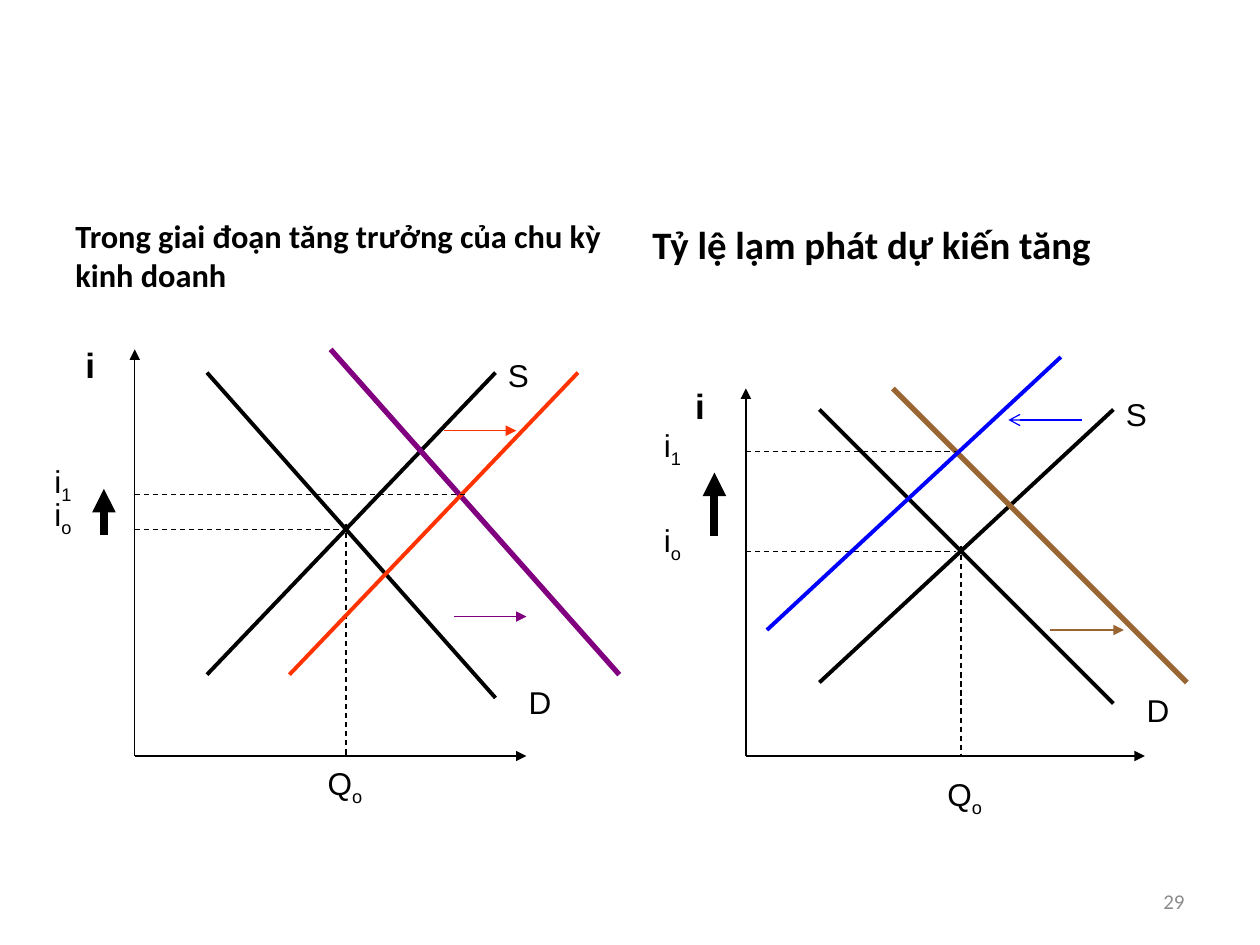
from dataclasses import dataclass
from typing import NamedTuple

from lxml.etree import SubElement
from pptx import Presentation
from pptx.dml.color import RGBColor as RGB
from pptx.enum.dml import MSO_LINE_DASH_STYLE as Dash
from pptx.enum.shapes import MSO_CONNECTOR as Connector
from pptx.enum.text import MSO_ANCHOR as Anchor, PP_ALIGN as Align
from pptx.oxml.ns import qn
from pptx.util import Inches, Pt


@dataclass(frozen=True)
class Theme:
    heading_font: str = "Calibri"
    label_font: str = "Arial"
    black: str = "000000"
    grey: str = "8C8C8C"
    purple: str = "800080"
    orange: str = "FF3300"
    brown: str = "996633"
    blue: str = "0000FF"
    label_size: float = 18
    axis_size: float = 20
    number_size: float = 12
    thin: float = 0.75
    curve: float = 2.25
    heavy: float = 3
    rise: float = 4.5


T = Theme()


class Point(NamedTuple):
    """Columns right of and rows above a diagram's origin."""
    col: float
    row: float


class Segment(NamedTuple):
    start: Point
    end: Point
    color: str = T.black
    width: float = T.thin
    arrow: str = ""
    dashed: bool = False


class Label(NamedTuple):
    at: Point
    text: str
    sub: str = ""
    cols: float = 6
    size: float = T.label_size
    bold: bool = False
    inset: float = 0.1


class Caption(NamedTuple):
    left: float
    top: float
    text: str
    size: float


@dataclass(frozen=True)
class Diagram:
    left: float
    cell_w: float
    cell_h: float
    rate_row: float          # level of the new rate i1
    rate_end: float          # where its guide stops
    rate_label_row: float
    quantity: Point          # corner of the Q label
    rise: tuple[float, float]
    shifts: tuple[Segment, ...]
    base: float = 6

    def x(self, col: float) -> int:
        return Inches(self.left + col * self.cell_w)

    def y(self, row: float) -> int:
        return Inches(self.base - row * self.cell_h)


CAPTIONS = (
    Caption(0.5, 1.68, "Trong giai đoạn tăng trưởng của chu kỳ kinh doanh", 18.5),
    Caption(5.08, 1.47, "Tỷ lệ lạm phát dự kiến tăng", 22.2),
)

DIAGRAMS = (
    Diagram(1.07, 0.0818, 0.0922, 22.5, 32, 25.8, Point(17.5, -0.2), (19, 23), (
        Segment(Point(31, 12), Point(38, 12), T.purple, arrow="triangle"),
        Segment(Point(19, 35), Point(47, 7), T.purple, T.heavy),
        Segment(Point(15, 7), Point(43, 33), T.orange, T.curve),
        Segment(Point(30, 28), Point(37, 28), T.orange, arrow="triangle"),
    )),
    Diagram(5.92, 1 / 12, 1 / 12, 29, 20, 32, Point(18, -1.2), (21, 27), (
        Segment(Point(29, 12), Point(36, 12), T.brown, arrow="triangle"),
        Segment(Point(14, 35), Point(42, 7), T.brown, T.heavy),
        Segment(Point(2, 12), Point(30, 38), T.blue, T.curve),
        Segment(Point(32, 32), Point(25, 32), T.blue, arrow="arrow"),
    )),
)


def add_text(s, box: tuple, text: str, font: str, size: float, color: str = T.black,
             bold: bool = False, anchor=Anchor.TOP, align=Align.LEFT):
    """Add a one-paragraph text box and return its text frame."""
    tf = s.shapes.add_textbox(*box).text_frame
    tf.word_wrap = True
    tf.vertical_anchor = anchor
    p = tf.paragraphs[0]
    p.alignment = align
    p.font.name, p.font.size, p.font.bold = font, Pt(size), bold
    p.font.color.rgb = RGB.from_string(color)
    p.add_run().text = text
    return tf


def draw_segment(s, d: Diagram, seg: Segment) -> None:
    line = s.shapes.add_connector(Connector.STRAIGHT, d.x(seg.start.col), d.y(seg.start.row),
                                  d.x(seg.end.col), d.y(seg.end.row))
    line.line.color.rgb = RGB.from_string(seg.color)
    line.line.width = Pt(seg.width)
    if seg.dashed:
        line.line.dash_style = Dash.DASH
    if seg.arrow:
        SubElement(line.line._get_or_add_ln(), qn("a:tailEnd"), type=seg.arrow)
    SubElement(line._element.spPr, qn("a:effectLst"))


def draw_label(s, d: Diagram, label: Label) -> None:
    box = (d.x(label.at.col), d.y(label.at.row),
           Inches(label.cols * d.cell_w), Inches(4.8 * d.cell_h))
    tf = add_text(s, box, label.text, T.label_font, label.size, bold=label.bold)
    tf.margin_left = Inches(label.inset)
    if label.sub:
        r = tf.paragraphs[0].add_run()
        r.text = label.sub
        r.font._element.set("baseline", "-25000")


def draw_diagram(s, d: Diagram) -> None:
    origin = Point(0, 0)
    segments = (
        Segment(origin, Point(0, 35), arrow="triangle"),
        Segment(origin, Point(38, 0), arrow="triangle"),
        Segment(Point(7, 33), Point(35, 5), width=T.curve),
        Segment(Point(7, 7), Point(35, 33), width=T.curve),
        Segment(Point(0, 19.5), Point(20, 19.5), dashed=True),
        Segment(Point(20.5, 20), Point(20.5, 0), dashed=True),
        *d.shifts,
        Segment(Point(0, d.rate_row), Point(d.rate_end, d.rate_row), dashed=True),
        Segment(Point(-3, d.rise[0]), Point(-3, d.rise[1]), width=T.rise, arrow="triangle"),
    )
    labels = (
        Label(Point(-7, 36), "i", size=T.axis_size, bold=True, inset=0.18),
        Label(Point(35, 35), "S"),
        Label(Point(37, 6.8), "D"),
        Label(Point(-9, 23), "i", "o", 8),
        Label(Point(-9, d.rate_label_row), "i", "1", 8),
        Label(d.quantity, "Q", "o", 8),
    )
    for seg in segments:
        draw_segment(s, d, seg)
    for label in labels:
        draw_label(s, d, label)


def main() -> None:
    prs = Presentation()
    prs.slide_width, prs.slide_height = Inches(10), Inches(7.5)
    s = prs.slides.add_slide(prs.slide_layouts[6])
    for c in CAPTIONS:
        box = (Inches(c.left), Inches(c.top), Inches(4.42), Inches(0.7))
        add_text(s, box, c.text, T.heading_font, c.size, bold=True, anchor=Anchor.BOTTOM)
    for d in DIAGRAMS:
        draw_diagram(s, d)
    number_box = (Inches(7.17), Inches(6.95), Inches(2.33), Inches(0.4))
    add_text(s, number_box, "29", T.heading_font, T.number_size, T.grey,
             anchor=Anchor.MIDDLE, align=Align.RIGHT)
    prs.save("out.pptx")


if __name__ == "__main__":
    main()
